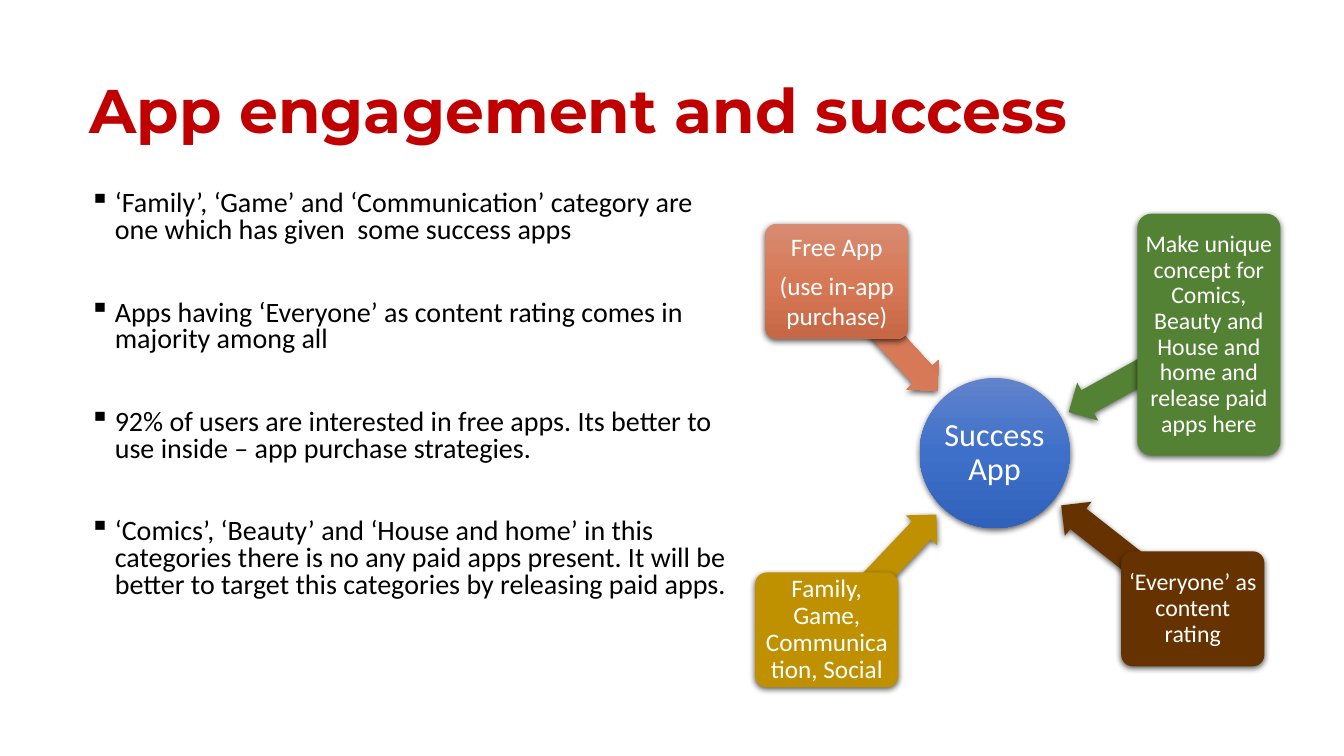
import copy
import math

import pptx
import pptx.dml.color
import pptx.enum.shapes
import pptx.enum.text
import pptx.oxml
import pptx.oxml.ns
import pptx.util

Inches, Pt = pptx.util.Inches, pptx.util.Pt
SHAPE = pptx.enum.shapes.MSO_SHAPE
ALIGN = pptx.enum.text.PP_ALIGN
ANCHOR = pptx.enum.text.MSO_ANCHOR

TITLE = "App engagement and success"
FINDINGS = [
    "‘Family’, ‘Game’ and ‘Communication’ category are one which has given  some success apps",
    "Apps having ‘Everyone’ as content rating comes in majority among all",
    "92% of users are interested in free apps. Its better to use inside – app purchase strategies.",
    "‘Comics’, ‘Beauty’ and ‘House and home’ in this categories there is no any paid apps "
    "present. It will be better to target this categories by releasing paid apps.",
]
HUB = {"text": ["Success App"], "left": 9.12, "top": 3.75, "size": 1.49,
       "colours": ["6183CB", "3E70CA", "3062BB"]}
# One colour is a solid fill, three are a gradient from top to bottom.
CARDS = [
    {"text": ["Family, Game, Communication, Social"], "left": 7.49, "top": 5.68,
     "height": 1.14, "colours": ["BF9000"], "font": 18, "spacing": 0.9},
    {"text": ["Free App", "(use in-app purchase)"], "left": 7.59, "top": 2.22,
     "height": 1.14, "colours": ["D78B72", "D77956", "C66846"], "font": 18, "spacing": 1.0},
    {"text": ["Make unique concept for Comics, Beauty and House and home and release paid apps here"],
     "left": 11.28, "top": 2.12, "height": 2.4, "colours": ["548235"], "font": 17, "spacing": 0.9},
    {"text": ["‘Everyone’ as content rating"], "left": 11.12, "top": 5.47,
     "height": 1.14, "colours": ["663300"], "font": 17, "spacing": 0.9},
]
CARD_WIDTH = 1.42
ARROW_HEIGHT = 0.43
TIP_TO_HUB_CENTRE = 0.84


def rgb(colour):
    return pptx.dml.color.RGBColor.from_string(colour)


def add_run(para, text, size, colour, font="Calibri", bold=False):
    span = para.add_run()
    span.text = text
    span.font.name = font
    span.font.size = Pt(size)
    span.font.bold = bold
    span.font.color.rgb = rgb(colour)


def add_text_box(page, left, top, width, height, anchor):
    frame = page.shapes.add_textbox(Inches(left), Inches(top), Inches(width), Inches(height)).text_frame
    frame.word_wrap = True
    frame.vertical_anchor = anchor
    return frame


def add_bullet(para):
    properties = para._p.get_or_add_pPr()
    properties.set("marL", str(Inches(0.25)))
    properties.set("indent", str(Inches(-0.25)))
    bullet = properties.makeelement(pptx.oxml.ns.qn("a:buChar"), {"char": "▪"})
    properties.append(bullet)


def paint(shape, colours):
    if len(colours) == 1:
        shape.fill.solid()
        shape.fill.fore_color.rgb = rgb(colours[0])
        return
    shape.fill.gradient()
    shape.fill.gradient_angle = 270
    stop_list = shape._element.spPr.find(".//" + pptx.oxml.ns.qn("a:gsLst"))
    stop_list.insert(1, copy.deepcopy(stop_list[0]))
    for index, (stop, colour) in enumerate(zip(shape.fill.gradient_stops, colours)):
        stop.position = index / 2
        stop.color.rgb = rgb(colour)


def add_shape(page, kind, left, top, width, height, colours):
    """Add a borderless shape with a soft shadow below it."""
    shape = page.shapes.add_shape(kind, Inches(left), Inches(top), Inches(width), Inches(height))
    paint(shape, colours)
    shape.line.fill.background()
    shape._element.spPr.append(pptx.oxml.parse_xml(
        f'<a:effectLst {pptx.oxml.ns.nsdecls("a")}>'
        f'<a:outerShdw blurRad="{Pt(4.5)}" dist="{Pt(1.5)}" dir="5400000" algn="ctr" rotWithShape="0">'
        '<a:srgbClr val="000000"><a:alpha val="63000"/></a:srgbClr></a:outerShdw></a:effectLst>'))
    return shape


def add_label(shape, lines, size, spacing, margin):
    frame = shape.text_frame
    frame.word_wrap = True
    frame.vertical_anchor = ANCHOR.MIDDLE
    frame.margin_left = frame.margin_right = Inches(margin)
    frame.margin_top = frame.margin_bottom = Inches(margin)
    for index, line in enumerate(lines):
        para = frame.paragraphs[0] if index == 0 else frame.add_paragraph()
        para.alignment = ALIGN.CENTER
        para.line_spacing = spacing
        para.space_after = Pt(round(0.35 * size))
        add_run(para, line, size, "FFFFFF")


def add_arrow(page, card, hub_x, hub_y):
    """Add an arrow from the card's centre towards the hub's centre."""
    start_x, start_y = card["left"] + CARD_WIDTH / 2, card["top"] + card["height"] / 2
    angle = math.atan2(hub_y - start_y, hub_x - start_x)
    length = math.hypot(hub_x - start_x, hub_y - start_y) - TIP_TO_HUB_CENTRE
    middle_x = start_x + length / 2 * math.cos(angle)
    middle_y = start_y + length / 2 * math.sin(angle)
    arrow = add_shape(page, SHAPE.LEFT_ARROW, middle_x - length / 2, middle_y - ARROW_HEIGHT / 2,
                      length, ARROW_HEIGHT, card["colours"])
    arrow.adjustments[0], arrow.adjustments[1] = 0.6, 0.5
    arrow.rotation = (math.degrees(angle) + 180) % 360


def main():
    deck = pptx.Presentation()
    deck.slide_width, deck.slide_height = Inches(13.33), Inches(7.5)
    page = deck.slides.add_slide(deck.slide_layouts[6])

    title = add_text_box(page, 0.79, 0.4, 11.62, 1.45, ANCHOR.MIDDLE).paragraphs[0]
    title.line_spacing = 0.9
    add_run(title, TITLE, 44, "C00000", "Montserrat", True)

    body = add_text_box(page, 0.79, 1.85, 6.52, 4.76, ANCHOR.TOP)
    for index, finding in enumerate(FINDINGS):
        para = body.paragraphs[0] if index == 0 else body.add_paragraph()
        para.line_spacing = 0.8
        para.space_before = Pt(10 if index == 0 else 39.5)
        add_bullet(para)
        add_run(para, finding, 20, "000000")

    hub = add_shape(page, SHAPE.OVAL, HUB["left"], HUB["top"], HUB["size"], HUB["size"], HUB["colours"])
    add_label(hub, HUB["text"], 23, 0.9, 0.02)
    hub_x, hub_y = HUB["left"] + HUB["size"] / 2, HUB["top"] + HUB["size"] / 2
    for card in CARDS:
        add_arrow(page, card, hub_x, hub_y)
        box = add_shape(page, SHAPE.ROUNDED_RECTANGLE, card["left"], card["top"],
                        CARD_WIDTH, card["height"], card["colours"])
        box.adjustments[0] = 0.1
        add_label(box, card["text"], card["font"], card["spacing"], 0.04)

    deck.save("out.pptx")


if __name__ == "__main__":
    main()
